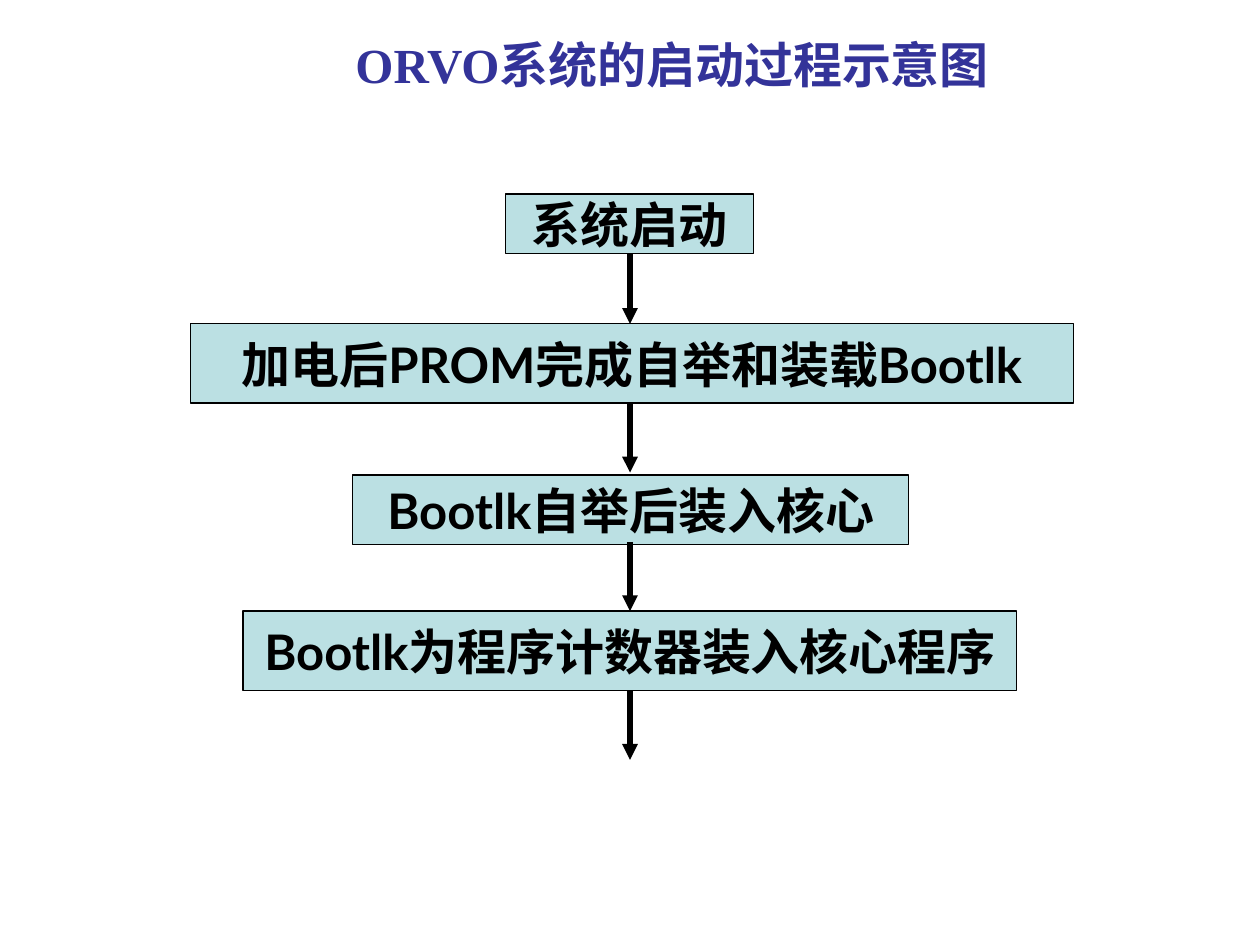
from dataclasses import dataclass

from lxml import etree
from pptx import Presentation
from pptx.dml.color import RGBColor
from pptx.enum import shapes, text
from pptx.oxml import ns
from pptx.util import Inches, Pt


@dataclass
class Theme:
    title: RGBColor = RGBColor(0x33, 0x33, 0x99)
    fill: RGBColor = RGBColor(0xBB, 0xE0, 0xE3)
    ink: RGBColor = RGBColor(0, 0, 0)
    paper: RGBColor = RGBColor(255, 255, 255)
    size: int = 28
    head: str = "Times New Roman"
    body: str = "Lato"


theme = Theme()


def write(frame, words, face, color):
    """Put one centred bold line in the middle of a frame."""
    frame.vertical_anchor = text.MSO_ANCHOR.MIDDLE
    line = frame.paragraphs[0]
    line.alignment = text.PP_ALIGN.CENTER
    run = line.add_run()
    run.text = words
    run.font.name = face
    run.font.size = Pt(theme.size)
    run.font.bold = True
    run.font.color.rgb = color


deck = Presentation()
deck.slide_width, deck.slide_height = Inches(10), Inches(7.5)
slide = deck.slides.add_slide(deck.slide_layouts[5])
slide.background.fill.solid()
slide.background.fill.fore_color.rgb = theme.paper

# Title
title = slide.shapes.title
title.left, title.top = Inches(0.67), Inches(0.21)
title.width, title.height = Inches(9.33), Inches(0.6)
write(title.text_frame, "ORVO系统的启动过程示意图", theme.head, theme.title)

# Boot steps: words, left, top, width, height
steps = [
    ("系统启动", 4.01, 1.54, 1.97, 0.47),
    ("加电后PROM完成自举和装载Bootlk", 1.51, 2.57, 7.01, 0.63),
    ("Bootlk自举后装入核心", 2.8, 3.77, 4.41, 0.55),
    ("Bootlk为程序计数器装入核心程序", 1.93, 4.85, 6.14, 0.63),
]
for words, *place in steps:
    box = slide.shapes.add_shape(
        shapes.MSO_SHAPE.RECTANGLE, *(Inches(n) for n in place))
    box.shadow.inherit = False
    box.fill.solid()
    box.fill.fore_color.rgb = theme.fill
    box.line.color.rgb = theme.ink
    box.line.width = Pt(0.75)
    box.text_frame.word_wrap = False
    write(box.text_frame, words, theme.body, theme.ink)

# Arrows of equal length down the middle
for top in (2.02, 3.2, 4.3, 5.48):
    arrow = slide.shapes.add_connector(
        shapes.MSO_CONNECTOR.STRAIGHT,
        Inches(5), Inches(top), Inches(5), Inches(top + 0.55))
    arrow.line.color.rgb = theme.ink
    arrow.line.width = Pt(3)
    etree.SubElement(arrow.line._get_or_add_ln(), ns.qn("a:tailEnd"),
                     type="triangle")
    etree.SubElement(arrow._element.spPr, ns.qn("a:effectLst"))

deck.save("out.pptx")
